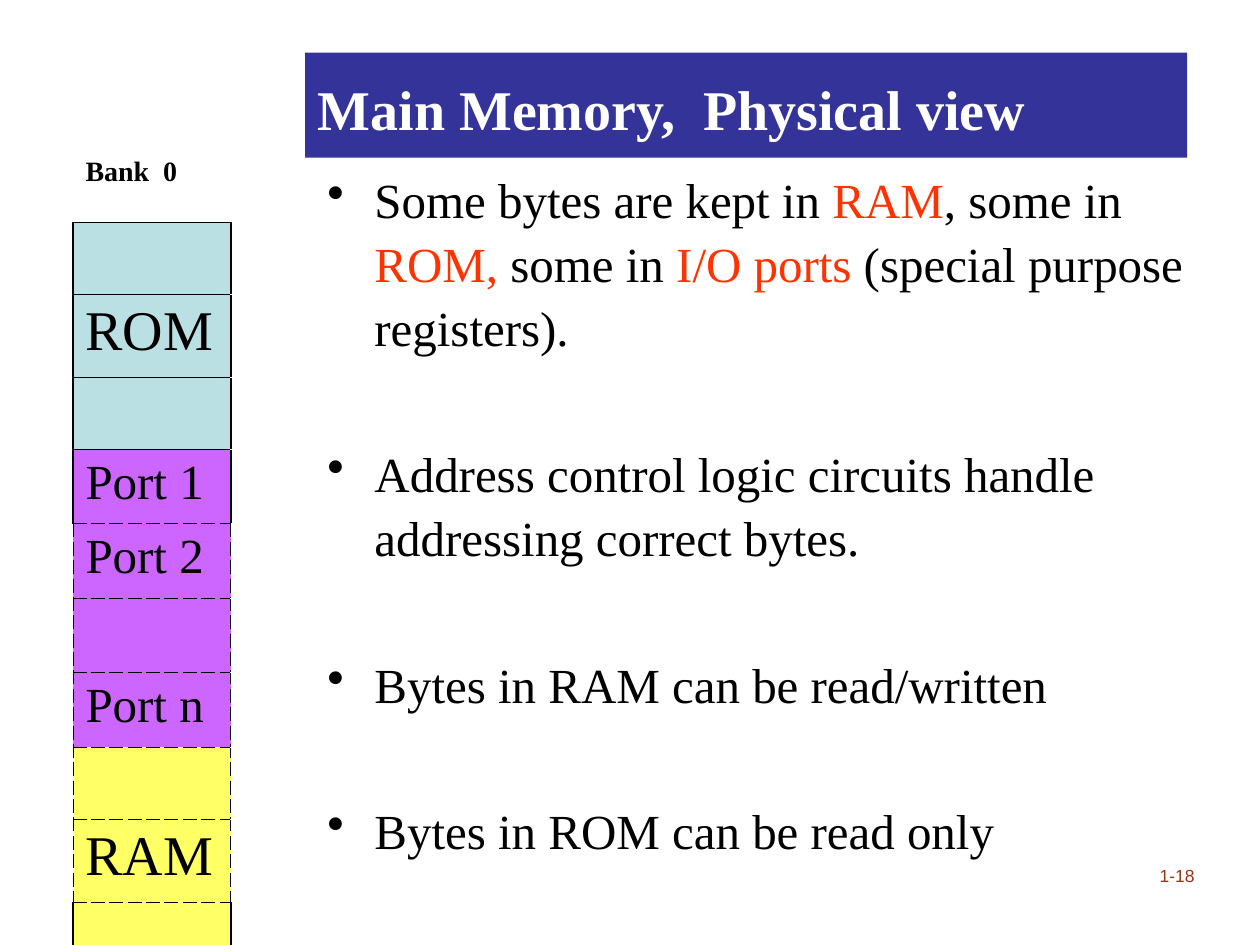
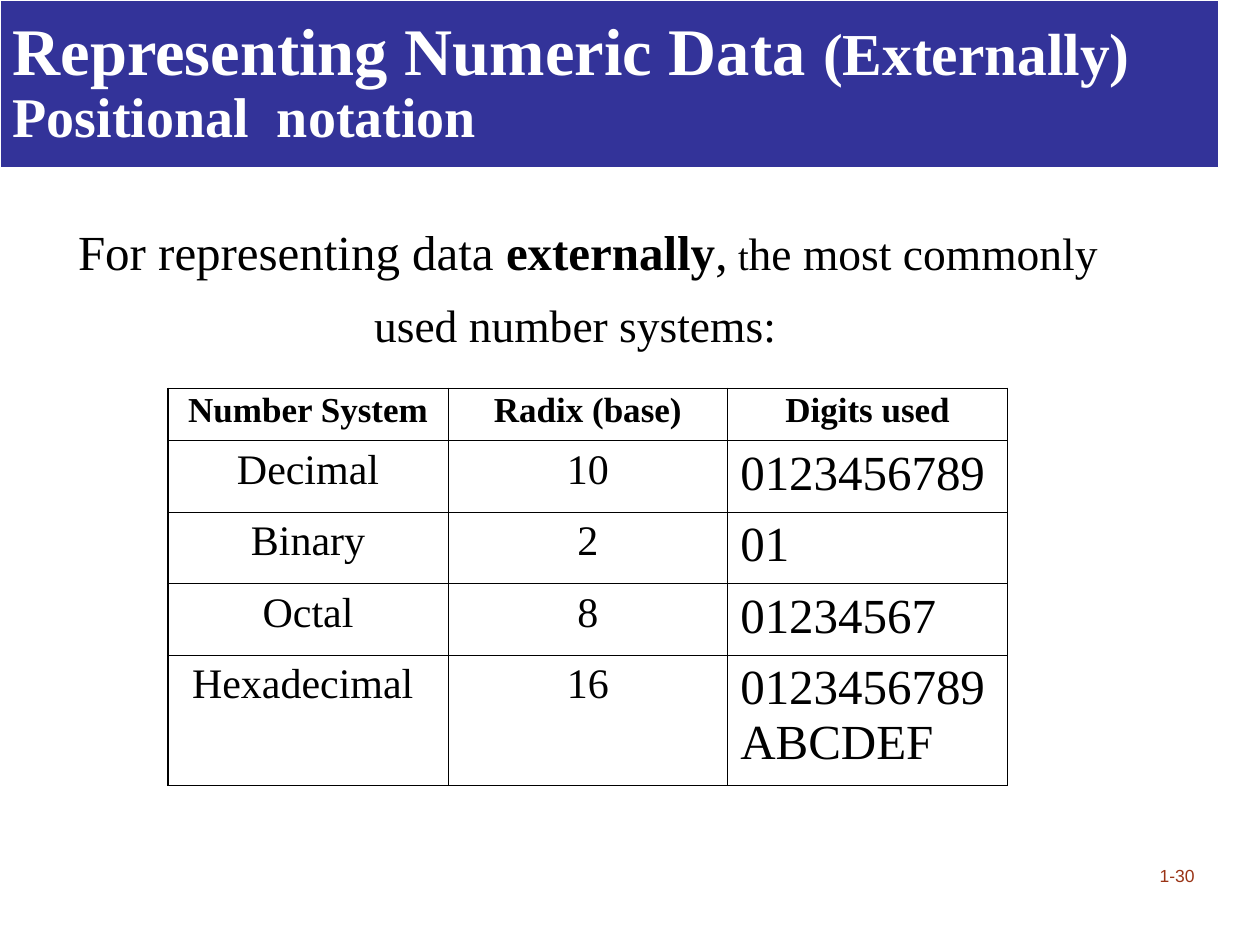
from lxml.etree import SubElement
from pptx import Presentation
from pptx.dml.color import RGBColor
from pptx.enum.text import MSO_ANCHOR as ANCHOR, MSO_AUTO_SIZE as AUTO, PP_ALIGN as ALIGN
from pptx.oxml.ns import qn
from pptx.util import Cm, Pt

COLORS = {"band": "333399", "white": "FFFFFF", "black": "000000", "accent": "FF3300",
          "number": "9A3416", "rom": "BBE0E3", "port": "CC66FF", "ram": "FFFF66"}
SERIF = "Times New Roman"
THIN, THICK = 0.45, 1.08


def write(p, runs, size, color="black", font=SERIF, bold=False, **para):
    """Fill a paragraph from (text, overrides) pairs; para holds paragraph attributes."""
    for name, value in para.items():
        setattr(p, name, value)
    for text, own in runs:
        if text == "\n":
            p.add_line_break()
            continue
        fmt = {"size": size, "color": color, "name": font, "bold": bold} | own
        r = p.add_run()
        r.text = text
        r.font.color.rgb = RGBColor.from_string(COLORS[fmt.pop("color")])
        fmt["size"] = Pt(fmt["size"])
        for name, value in fmt.items():
            setattr(r.font, name, value)


def border(cell, **sides):
    """Draw cell borders in L, R, T, B order, each (colour, points, dash)."""
    tc_pr = cell._tc.get_or_add_tcPr()
    for side, (color, width, dash) in sides.items():
        ln = SubElement(tc_pr, qn(f"a:ln{side}"), w=str(Pt(width)))
        fill = SubElement(ln, qn("a:solidFill"))
        SubElement(fill, qn("a:srgbClr"), val=COLORS[color])
        SubElement(ln, qn("a:prstDash"), val=dash)


prs = Presentation()
prs.slide_width, prs.slide_height = Cm(25.4), Cm(19.05)

# Title bands and page numbers
pages = [
    {"number": "1-18", "box": (6.15, 1.06, 17.78, 2.12), "spacing": 1.09, "line": None,
     "title": [("Main Memory,  Physical view", {})]},
    {"number": "1-30", "box": (0, 0, 24.56, 3.38), "spacing": 0.9, "line": "white",
     "title": [("Representing Numeric Data ", {"size": 38}), ("(Externally)", {"size": 34}),
               ("\n", {}), ("Positional  notation", {})]},
]
slides = []
for page in pages:
    s = prs.slides.add_slide(prs.slide_layouts[5])
    slides.append(s)

    sp = s.shapes.title
    sp.left, sp.top, sp.width, sp.height = [Cm(v) for v in page["box"]]
    sp.fill.solid()
    sp.fill.fore_color.rgb = RGBColor.from_string(COLORS["band"])
    if page["line"]:
        sp.line.color.rgb = RGBColor.from_string(COLORS[page["line"]])
        sp.line.width = Pt(0.75)
    tf = sp.text_frame
    tf.auto_size, tf.vertical_anchor = AUTO.NONE, ANCHOR.MIDDLE
    write(tf.paragraphs[0], page["title"], 32, "white", bold=True, alignment=ALIGN.LEFT,
          line_spacing=page["spacing"], space_before=Pt(0))

    tf = s.shapes.add_textbox(Cm(22.43), Cm(16.71), Cm(1.9), Cm(1.27)).text_frame
    tf.word_wrap, tf.vertical_anchor = True, ANCHOR.BOTTOM
    write(tf.paragraphs[0], [(page["number"], {})], 10, "number", "Arial",
          alignment=ALIGN.RIGHT)

memory, numbers = slides

# Memory: bullets
red = {"color": "accent"}
bullets = [
    [("Some bytes are kept in ", {}), ("RAM", red), (", some in ", {}), ("ROM, ", red),
     ("some in", {}), (" I/O ports ", red), ("(special purpose registers).", {})],
    [("Address control logic circuits handle addressing correct bytes.", {})],
    [("Bytes in RAM can be read/written", {})],
    [("Bytes in ROM can be read only", {})],
]
tf = memory.shapes.add_textbox(Cm(6.35), Cm(3.18), Cm(17.98), Cm(13.76)).text_frame
tf.word_wrap = True
for i, runs in enumerate(bullets):
    p = tf.add_paragraph() if i else tf.paragraphs[0]
    write(p, runs, 28, line_spacing=1.09, space_before=Pt(47 if i else 7))
    p_pr = p._p.get_or_add_pPr()
    p_pr.set("marL", str(Cm(0.95)))
    p_pr.set("indent", str(-Cm(0.95)))
    SubElement(p_pr, qn("a:buChar"), char="•")

# Memory: bank map, one row per block: text, size, fill, height
blocks = [
    ("Bank  0", 16, None, 1.46),
    ("", 18, "rom", 1.45), ("ROM", 32, "rom", 1.68), ("", 18, "rom", 1.45),
    ("Port 1", 28, "port", 1.5), ("Port 2", 28, "port", 1.5),
    ("", 18, "port", 1.5), ("Port n", 28, "port", 1.5),
    ("", 18, "ram", 1.45), ("RAM", 32, "ram", 1.68), ("", 18, "ram", 1.07),
]
first_dashed, last = 5, len(blocks) - 1
solid, dashed = ("black", THIN, "solid"), ("black", THIN, "dash")
heavy, blank = ("black", THICK, "solid"), ("white", THIN, "solid")
bank = memory.shapes.add_table(len(blocks), 2, Cm(1.47), Cm(3.02), Cm(3.81),
                               Cm(sum(b[3] for b in blocks))).table
bank.first_row = bank.horz_banding = False
bank.columns[0].width, bank.columns[1].width = Cm(3.18), Cm(0.63)
for i, (text, size, fill, height) in enumerate(blocks):
    bank.rows[i].height = Cm(height)
    cell, spare = bank.cell(i, 0), bank.cell(i, 1)
    if i == 0:
        side, top, bottom = blank, blank, solid
    else:
        side = dashed if first_dashed <= i < last else heavy
        top = dashed if i >= first_dashed else solid
        bottom = heavy if i == last else dashed if i >= first_dashed - 1 else solid
    border(cell, L=side, R=side, T=top, B=bottom)
    border(spare, L=side, R=blank, T=blank, B=blank)
    spare.fill.background()
    if fill:
        cell.fill.solid()
        cell.fill.fore_color.rgb = RGBColor.from_string(COLORS[fill])
    else:
        cell.fill.background()
    if text:
        write(cell.text_frame.paragraphs[0], [(text, {})], size, bold=i == 0)

# Number systems: table
systems = [
    ("Number System", "Radix (base)", "Digits used"),
    ("Decimal", "10", "0123456789"),
    ("Binary", "2", "01"),
    ("Octal", "8", "01234567"),
    ("Hexadecimal ", "16", "0123456789ABCDEF"),
]
heights = [1.05, 1.44, 1.44, 1.44, 2.63]
radix = numbers.shapes.add_table(5, 3, Cm(3.39), Cm(7.83), Cm(16.92), Cm(sum(heights))).table
radix.first_row = radix.horz_banding = False
for column in radix.columns:
    column.width = Cm(5.64)
for i, row in enumerate(systems):
    radix.rows[i].height = Cm(heights[i])
    for j, text in enumerate(row):
        cell = radix.cell(i, j)
        border(cell, L=heavy if j == 0 else solid, R=heavy if j == 2 else solid,
               T=heavy if i == 0 else solid, B=heavy if i == 4 else solid)
        cell.fill.background()
        digits = i > 0 and j == 2
        write(cell.text_frame.paragraphs[0], [(text, {})],
              20 if i == 0 else 28 if digits else 24, bold=i == 0,
              alignment=ALIGN.LEFT if digits else ALIGN.CENTER,
              line_spacing=1.0 if i else 0.9)

# Number systems: introduction
tf = numbers.shapes.add_textbox(Cm(1.06), Cm(4.23), Cm(21.59), Cm(2.79)).text_frame
tf.word_wrap = True
write(tf.paragraphs[0],
      [("For representing data ", {}), ("externally", {"bold": True}), (",", {}),
       (" ", {"size": 24}), ("t", {"size": 22}),
       ("he most commonly used number systems: ", {"size": 26}), (" ", {"size": 32})],
      28, alignment=ALIGN.CENTER, line_spacing=1.09, space_before=Pt(8))

prs.save("out.pptx")
